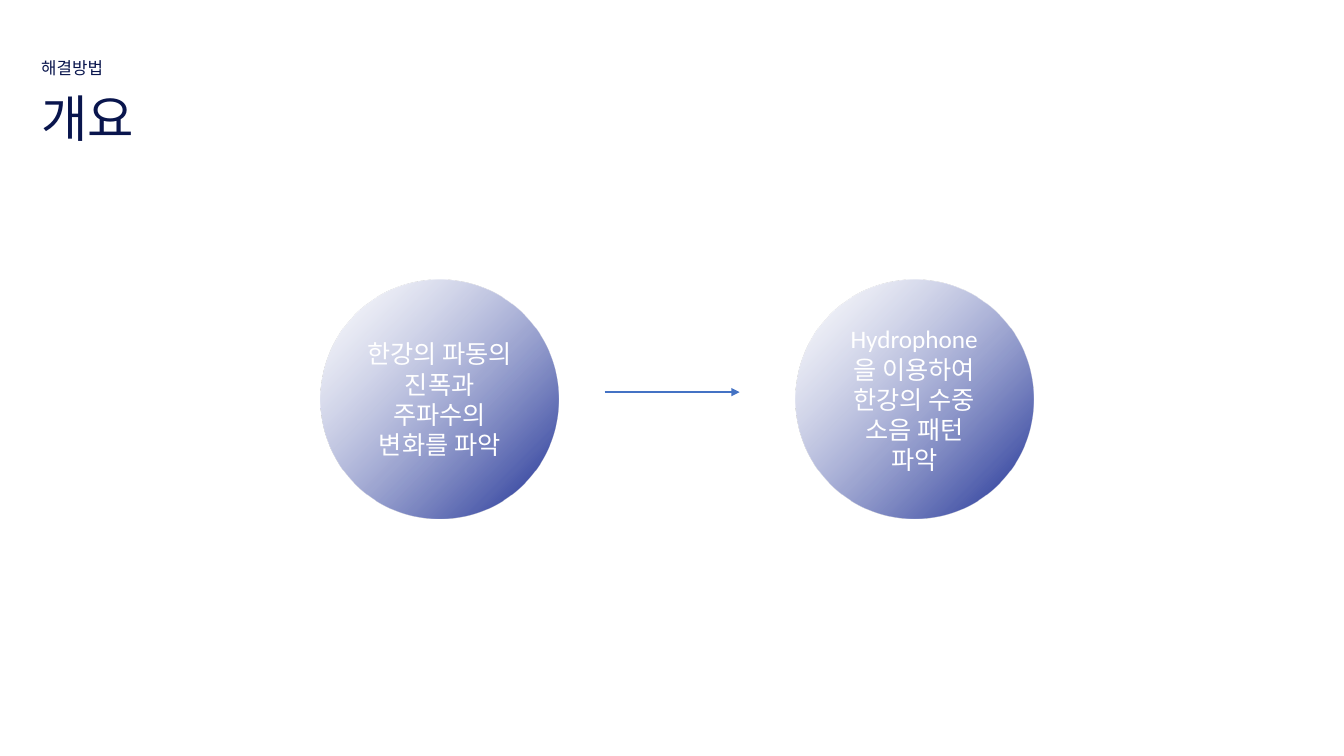
from lxml import etree
from pptx import Presentation
from pptx.dml.color import RGBColor
from pptx.enum.shapes import MSO_CONNECTOR, MSO_SHAPE
from pptx.enum.text import MSO_ANCHOR, MSO_AUTO_SIZE, PP_ALIGN
from pptx.oxml.ns import qn
from pptx.util import Cm, Pt

OVAL = MSO_SHAPE.OVAL
STRAIGHT = MSO_CONNECTOR.STRAIGHT
MIDDLE = MSO_ANCHOR.MIDDLE
CENTER = PP_ALIGN.CENTER
GROW = MSO_AUTO_SIZE.SHAPE_TO_FIT_TEXT

COLORS = {"navy": "09154D", "indigo": "30419E", "white": "FFFFFF", "arrow": "4472C4"}
KOREAN_FONT = "Noto Sans CJK KR"
LATIN_FONT = "Calibri"


class SlideBuilder:
    """Draws headings, gradient circles and arrows on one slide."""

    def __init__(self, slide):
        self.slide = slide

    def color(self, name):
        return RGBColor.from_string(COLORS[name])

    def label(self, frame, text, size, color, font):
        frame.text = text
        run = frame.paragraphs[0].runs[0]
        run.font.size = Pt(size)
        run.font.name = font
        run.font.color.rgb = self.color(color)
        properties = run._r.get_or_add_rPr()
        etree.SubElement(properties, qn("a:ea")).set("typeface", KOREAN_FONT)

    def heading(self, text, left, top, width, height, size):
        box = self.slide.shapes.add_textbox(Cm(left), Cm(top), Cm(width), Cm(height))
        frame = box.text_frame
        frame.word_wrap = False
        frame.auto_size = GROW
        self.label(frame, text, size, "navy", KOREAN_FONT)

    def circle(self, text, left, top, diameter, font):
        circle = self.slide.shapes.add_shape(
            OVAL, Cm(left), Cm(top), Cm(diameter), Cm(diameter))
        circle.shadow.inherit = False
        circle.line.fill.background()
        circle.fill.gradient()
        circle.fill.gradient_angle = 315
        stops = circle.fill.gradient_stops
        for stop, position, name in zip(stops, (0, 0.93), ("white", "indigo")):
            stop.position = position
            stop.color.rgb = self.color(name)
        first_color = next(circle._element.spPr.iter(qn("a:srgbClr")))
        etree.SubElement(first_color, qn("a:alpha")).set("val", "50000")
        frame = circle.text_frame
        frame.word_wrap = True
        frame.vertical_anchor = MIDDLE
        self.label(frame, text, 18, "white", font)
        frame.paragraphs[0].alignment = CENTER

    def arrow(self, start, end, y):
        arrow = self.slide.shapes.add_connector(
            STRAIGHT, Cm(start), Cm(y), Cm(end), Cm(y))
        arrow.line.color.rgb = self.color("arrow")
        arrow.line.width = Pt(1.5)
        properties = arrow._element.spPr
        outline = properties.find(qn("a:ln"))
        etree.SubElement(outline, qn("a:tailEnd")).set("type", "triangle")
        etree.SubElement(properties, qn("a:effectLst"))


def main():
    presentation = Presentation()
    presentation.slide_width = Cm(33.87)
    presentation.slide_height = Cm(19.05)
    builder = SlideBuilder(presentation.slides.add_slide(presentation.slide_layouts[6]))

    builder.circle("Hydrophone을 이용하여 한강의 수중 소음 패턴 파악", 20.04, 7.06, 6, LATIN_FONT)
    builder.circle("한강의 파동의 진폭과 주파수의 변화를 파악", 8.08, 7.06, 6, KOREAN_FONT)
    builder.heading("해결방법", 0.79, 1.32, 2.24, 0.77, 12)
    builder.heading("개요", 0.79, 2.08, 3.07, 1.8, 36)
    builder.arrow(15.24, 18.64, 9.88)

    presentation.save("out.pptx")


if __name__ == "__main__":
    main()
